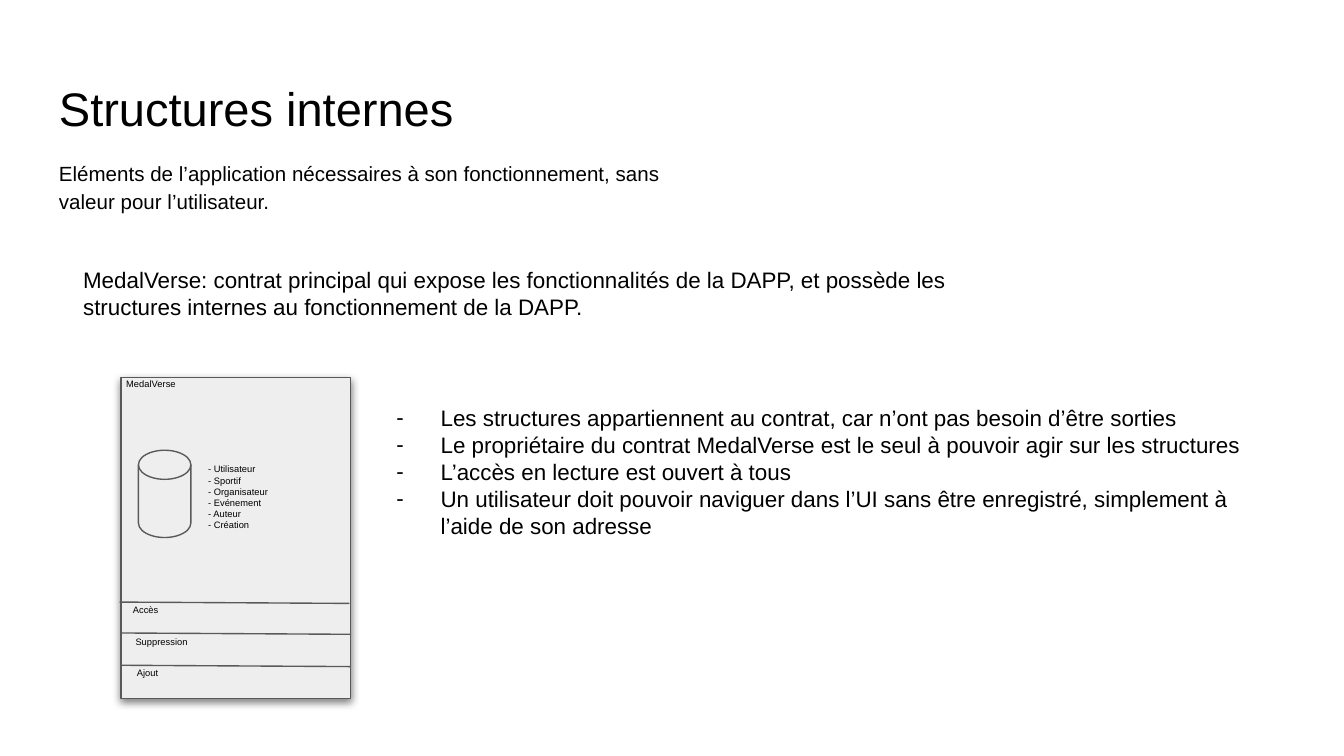
from lxml import etree
from pptx import Presentation
from pptx.dml.color import RGBColor
from pptx.enum import shapes, text
from pptx.oxml import ns
from pptx.util import Inches, Pt

BLACK = RGBColor(0x00, 0x00, 0x00)
GREY = RGBColor(0x59, 0x59, 0x59)
LIGHT = RGBColor(0xEE, 0xEE, 0xEE)

presentation = Presentation()
presentation.slide_width = Inches(10)
presentation.slide_height = Inches(10) * 9 // 16
slide = presentation.slides.add_slide(presentation.slide_layouts[6])


def add_text(parent, box, lines, size, spacing=1.0):
    shape = parent.shapes.add_textbox(*[Inches(value) for value in box])
    frame = shape.text_frame
    settings = {"word_wrap": True, "vertical_anchor": text.MSO_ANCHOR.TOP}
    for side in ("left", "top", "right", "bottom"):
        settings["margin_" + side] = Inches(0.1)
    for name, value in settings.items():
        setattr(frame, name, value)
    frame.text = "\n".join(lines)
    for paragraph in frame.paragraphs:
        paragraph.line_spacing = spacing
        for run in paragraph.runs:
            for name, value in {"name": "Arial", "size": Pt(size)}.items():
                setattr(run.font, name, value)
            run.font.color.rgb = BLACK
    return shape


add_text(slide, (0.34, 0.49, 9.32, 0.63), ["Structures internes"], 25.2)
add_text(slide, (0.34, 1.07, 5, 2.75), [
    "Eléments de l’application nécessaires à son fonctionnement, sans valeur pour l’utilisateur.",
], 11, 1.15)
add_text(slide, (0.52, 1.88, 6.81, 0.61), [
    "MedalVerse: contrat principal qui expose les fonctionnalités de la DAPP, "
    "et possède les structures internes au fonctionnement de la DAPP.",
], 12)

rules = add_text(slide, (2.68, 2.91, 6.81, 1.82), [
    "Les structures appartiennent au contrat, car n’ont pas besoin d’être sorties",
    "Le propriétaire du contrat MedalVerse est le seul à pouvoir agir sur les structures",
    "L’accès en lecture est ouvert à tous",
    "Un utilisateur doit pouvoir naviguer dans l’UI sans être enregistré, simplement à l’aide de son adresse",
], 12)
for paragraph in rules.text_frame.paragraphs:
    properties = paragraph._p.get_or_add_pPr()
    properties.set("marL", str(Inches(0.5)))
    properties.set("indent", str(Inches(-0.33)))
    color = etree.SubElement(properties, ns.qn("a:buClr"))
    etree.SubElement(color, ns.qn("a:srgbClr"), val=str(BLACK))
    etree.SubElement(properties, ns.qn("a:buFont"), typeface="Arial")
    etree.SubElement(properties, ns.qn("a:buChar"), char="-")

contract = slide.shapes.add_group_shape()
outlines = [
    (shapes.MSO_SHAPE.RECTANGLE, (0.9, 2.81, 1.71, 2.39)),
    (shapes.MSO_SHAPE.FLOWCHART_MAGNETIC_DISK, (1.03, 3.35, 0.39, 0.65)),
]
for kind, box in outlines:
    shape = contract.shapes.add_shape(kind, *[Inches(value) for value in box])
    shape.shadow.inherit = False
    shape.fill.solid()
    shape.fill.fore_color.rgb = LIGHT
    shape.line.color.rgb = GREY
    shape.line.width = Pt(0.75)
    if kind == shapes.MSO_SHAPE.RECTANGLE:
        effects = shape._element.spPr.find(ns.qn("a:effectLst"))
        shadow = etree.SubElement(
            effects, ns.qn("a:outerShdw"), blurRad=str(Pt(4.5)), dist=str(Pt(1.5)),
            dir="5400000", algn="bl", rotWithShape="0")
        color = etree.SubElement(shadow, ns.qn("a:srgbClr"), val=str(BLACK))
        etree.SubElement(color, ns.qn("a:alpha"), val="50000")

for left, top in [(0.89, 4.48), (0.9, 4.71), (0.9, 4.95)]:
    divider = contract.shapes.add_connector(
        shapes.MSO_CONNECTOR.STRAIGHT,
        Inches(left), Inches(top), Inches(left + 1.71), Inches(top + 0.01))
    divider.line.color.rgb = GREY
    divider.line.width = Pt(0.75)
    etree.SubElement(divider._element.spPr, ns.qn("a:effectLst"))

labels = [
    ("Ajout", 0.92, 4.92),
    ("Suppression", 0.91, 4.69),
    ("Accès", 0.89, 4.45),
    ("MedalVerse", 0.84, 2.77),
]
for label, left, top in labels:
    add_text(contract, (left, top, 1.68, 0.29), [label], 5)
add_text(contract, (1.45, 3.35, 1.68, 0.71), [
    "- Utilisateur\v- Sportif", "- Organisateur", "- Evénement", "- Auteur", "- Création",
], 5)

presentation.save("out.pptx")
